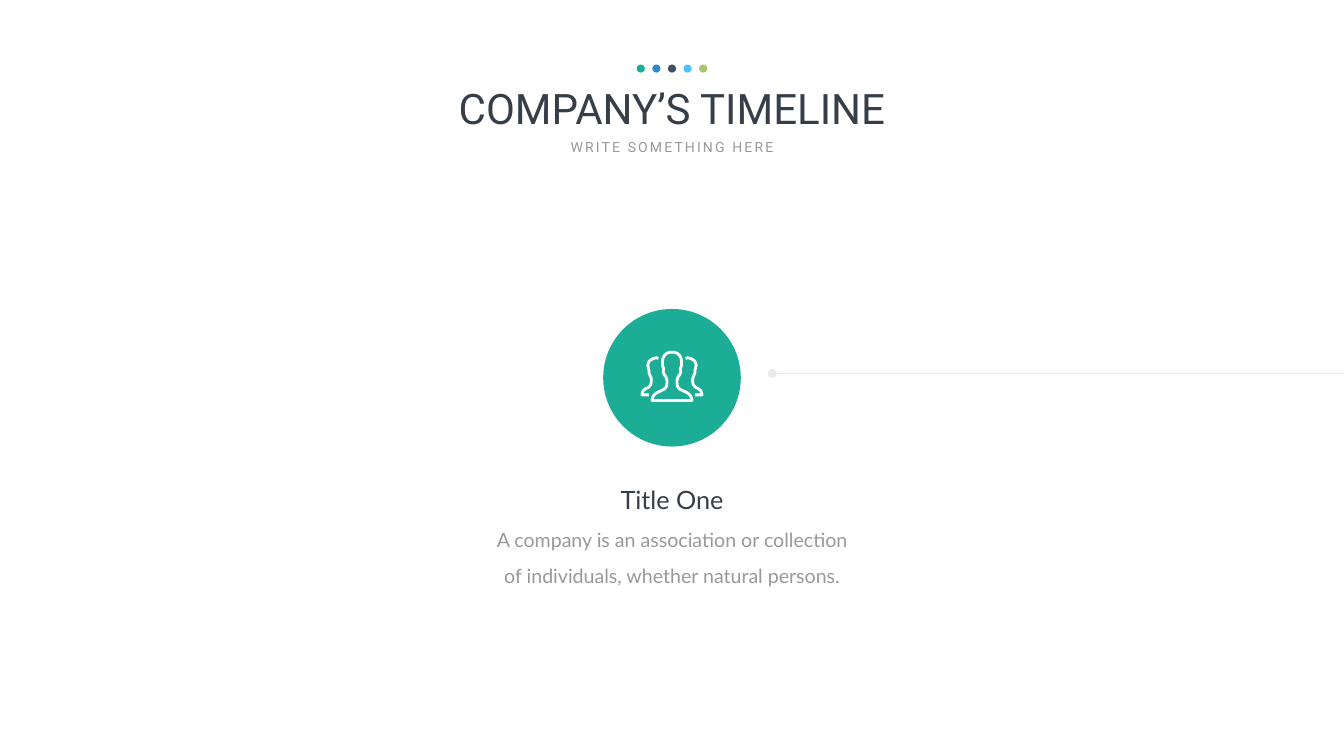
from typing import NamedTuple

from lxml import etree
from pptx import Presentation
from pptx.dml.color import RGBColor
from pptx.enum.shapes import MSO_CONNECTOR, MSO_SHAPE
from pptx.enum.text import MSO_AUTO_SIZE, PP_ALIGN
from pptx.oxml.ns import qn
from pptx.shapes.shapetree import SlideShapes
from pptx.util import Inches, Pt

OVAL = MSO_SHAPE.OVAL
STRAIGHT = MSO_CONNECTOR.STRAIGHT
CENTER = PP_ALIGN.CENTER
NO_AUTO_SIZE = MSO_AUTO_SIZE.NONE

WHITE = RGBColor(0xFF, 0xFF, 0xFF)
TEAL = RGBColor(0x1C, 0xAD, 0x97)
BLUE = RGBColor(0x2B, 0x8B, 0xC7)
SLATE = RGBColor(0x42, 0x50, 0x60)
SKY = RGBColor(0x4E, 0xC2, 0xF4)
OLIVE = RGBColor(0xAA, 0xC4, 0x6F)
INK = RGBColor(0x36, 0x3E, 0x48)
GREY = RGBColor(0x99, 0x99, 0x99)
PALE = RGBColor(0xEB, 0xEB, 0xEB)

SLIDE_WIDTH, SLIDE_HEIGHT = Inches(26.66), Inches(15)
COLUMN, ROW = SLIDE_WIDTH / 100, SLIDE_HEIGHT / 100
MIDDLE = 50
DOT_GAP = 1.16
TIMELINE_ROW = 49.4
ICON_TOP = 46.4
ICON_STEP = ROW / 15

Points = list[tuple[float, float]]


class Label(NamedTuple):
    text: str
    top: float
    width: float
    height: float
    size: int
    font: str
    color: RGBColor
    line_spacing: float = 1
    tracking: int = 0
    wrap: bool = True


class Disc(NamedTuple):
    column: float
    row: float
    diameter: float
    color: RGBColor


LABELS = [
    Label("A company is an association or collection of individuals, whether natural persons.",
          68, 27.23, 9.47, 28, "Lato", GREY, line_spacing=1.5),
    Label("Title One", 63.73, 8.63, 4.73, 36, "Lato", INK, wrap=False),
    Label("COMPANY’S TIMELINE", 10.6, 42.2, 7.4, 60, "Roboto", INK),
    Label("WRITE SOMETHING HERE", 18, 16.32, 2.93, 20, "Roboto", GREY, tracking=300, wrap=False),
]
DISCS = [
    Disc(57.46, TIMELINE_ROW, 1.2, PALE),
    Disc(MIDDLE, 49.97, 18.2, TEAL),
] + [
    Disc(MIDDLE + (place - 2) * DOT_GAP, 9.07, 1.07, color)
    for place, color in enumerate([TEAL, BLUE, SLATE, SKY, OLIVE])
]
FRONT_HALF: Points = [
    (0, 3), (5, 3), (10, 5), (15, 9), (18, 15), (19, 23), (18.5, 30), (16.5, 36),
    (17.5, 42), (15.5, 47), (12, 52), (10, 58), (10, 64), (11, 71), (15, 76),
    (22, 79.5), (30, 83), (36, 88), (39, 94), (39.5, 98.5), (0, 98.5),
]
BACK_RIGHT: Points = [
    (27, 15), (31, 14), (36, 15), (42, 18), (46, 22), (48, 28), (47, 34), (45.5, 39),
    (45.5, 44), (44, 48), (42, 52), (41, 56), (41, 61), (42, 67), (46, 72),
    (52, 75), (57, 79), (59, 84), (59.5, 87.5), (46, 87.5),
]


def mirrored(points: Points) -> Points:
    return [(-across, down) for across, down in points]


def add_label(shapes: SlideShapes, label: Label) -> None:
    box = shapes.add_textbox(
        round((MIDDLE - label.width / 2) * COLUMN), round(label.top * ROW),
        round(label.width * COLUMN), round(label.height * ROW))
    frame = box.text_frame
    frame.word_wrap = label.wrap
    frame.auto_size = NO_AUTO_SIZE
    frame.text = label.text
    paragraph = frame.paragraphs[0]
    paragraph.alignment = CENTER
    paragraph.line_spacing = label.line_spacing
    run = paragraph.runs[0]
    run.font.size = Pt(label.size)
    run.font.name = label.font
    run.font.color.rgb = label.color
    if label.tracking:
        run.font._element.set("spc", str(label.tracking))


def add_disc(shapes: SlideShapes, disc: Disc) -> None:
    side = round(disc.diameter * ROW)
    oval = shapes.add_shape(
        OVAL, round(disc.column * COLUMN - side / 2),
        round(disc.row * ROW - side / 2), side, side)
    oval.shadow.inherit = False
    oval.fill.solid()
    oval.fill.fore_color.rgb = disc.color
    oval.line.fill.background()


def add_timeline(shapes: SlideShapes) -> None:
    height = round(TIMELINE_ROW * ROW)
    line = shapes.add_connector(STRAIGHT, round(57.8 * COLUMN), height, SLIDE_WIDTH, height)
    line.line.color.rgb = PALE
    line.line.width = Pt(1)
    etree.SubElement(line._element.spPr, qn("a:effectLst"))


def add_outline(shapes: SlideShapes, points: Points, closed: bool) -> None:
    spots = [
        (round(MIDDLE * COLUMN + across * ICON_STEP), round(ICON_TOP * ROW + down * ICON_STEP))
        for across, down in points
    ]
    builder = shapes.build_freeform(*spots[0])
    builder.add_line_segments(spots[1:], close=closed)
    outline = builder.convert_to_shape()
    outline.shadow.inherit = False
    outline.fill.background()
    outline.line.color.rgb = WHITE
    outline.line.width = Pt(4)


def main() -> None:
    """Build the company timeline slide."""
    presentation = Presentation()
    presentation.slide_width, presentation.slide_height = SLIDE_WIDTH, SLIDE_HEIGHT
    shapes = presentation.slides.add_slide(presentation.slide_layouts[6]).shapes
    add_timeline(shapes)
    for disc in DISCS:
        add_disc(shapes, disc)
    for label in LABELS:
        add_label(shapes, label)
    add_outline(shapes, FRONT_HALF + mirrored(FRONT_HALF[-2:0:-1]), closed=True)
    for figure in (BACK_RIGHT, mirrored(BACK_RIGHT)):
        add_outline(shapes, figure, closed=False)
    presentation.save("out.pptx")


if __name__ == "__main__":
    main()
